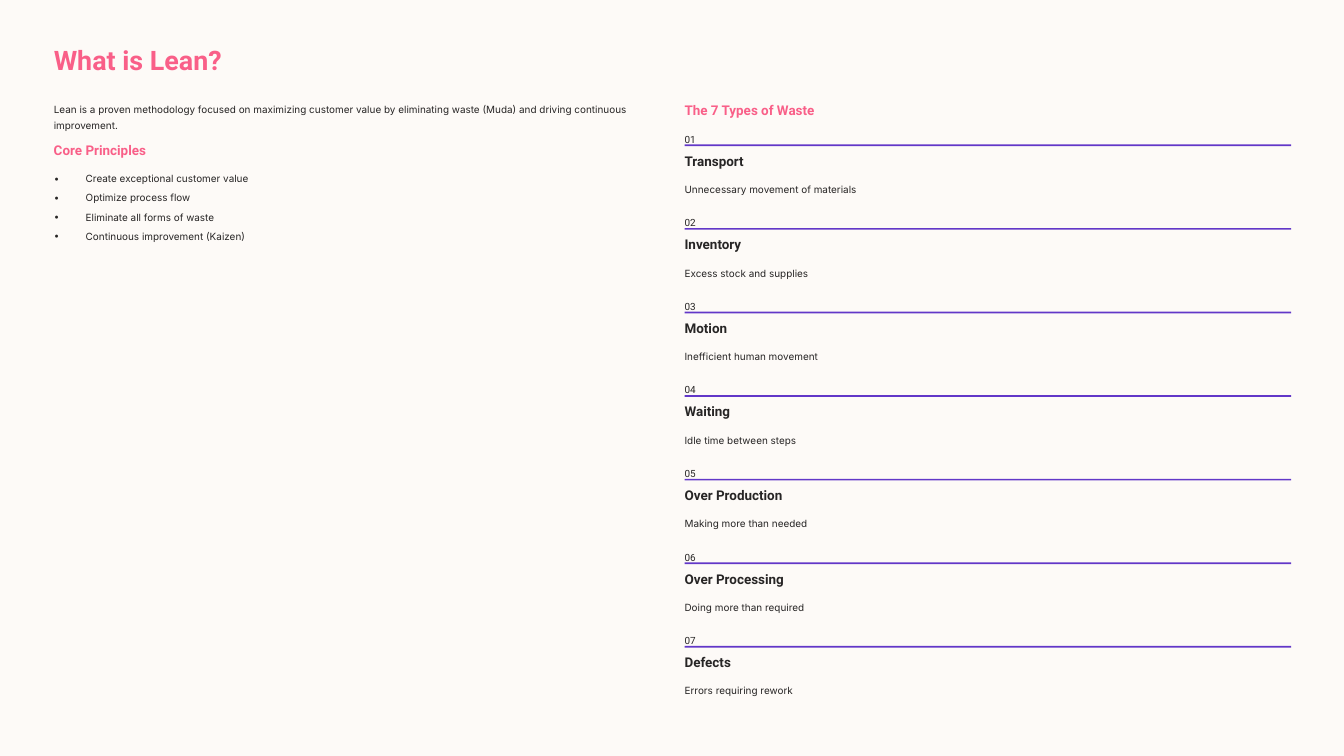
from dataclasses import dataclass

from lxml.etree import SubElement
from pptx import Presentation
from pptx.dml.color import RGBColor
from pptx.enum.shapes import MSO_SHAPE as Shape
from pptx.oxml.ns import qn
from pptx.util import Inches, Pt


@dataclass(frozen=True)
class Theme:
    paper: str = "FDFAF7"
    pink: str = "F95F88"
    ink: str = "272525"
    rule: str = "6237C8"
    head: str = "Roboto"
    body: str = "Inter"
    title: float = 23
    sub: float = 11.5
    text: float = 8.5


THEME = Theme()

# Line height for each type size, in points
LEAD = {THEME.title: 29, THEME.sub: 14.5, THEME.text: 13.5}

# Columns and row range, in inches
LEFT, RIGHT, WIDE = 0.64, 8.15, 7.22
FIRST, LAST = 1.54, 7.51

POINTS = [
    "Create exceptional customer value",
    "Optimize process flow",
    "Eliminate all forms of waste",
    "Continuous improvement (Kaizen)",
]

WASTES = [
    ("Transport", "Unnecessary movement of materials"),
    ("Inventory", "Excess stock and supplies"),
    ("Motion", "Inefficient human movement"),
    ("Waiting", "Idle time between steps"),
    ("Over Production", "Making more than needed"),
    ("Over Processing", "Doing more than required"),
    ("Defects", "Errors requiring rework"),
]


def add_dot(para):
    """Give a paragraph a bullet with a hanging indent."""
    props = para._p.get_or_add_pPr()
    props.set("marL", str(Inches(0.38)))
    props.set("indent", str(-Inches(0.38)))
    SubElement(props, qn("a:buFont")).set("typeface", THEME.body)
    SubElement(props, qn("a:buChar")).set("char", "•")


def add_text(slide, text, x, y, w, h, size=THEME.text, font=THEME.body,
             color=THEME.ink, bold=False, wrap=False, dots=False, gap=0):
    """Add a text box; each line of the text is a paragraph."""
    frame = slide.shapes.add_textbox(
        Inches(x), Inches(y), Inches(w), Inches(h)).text_frame
    frame.word_wrap = wrap
    frame.margin_left = frame.margin_right = 0
    frame.margin_top = frame.margin_bottom = 0
    frame.text = text
    for i, para in enumerate(frame.paragraphs):
        para.line_spacing = Pt(LEAD[size])
        if i:
            para.space_before = Pt(gap)
        if dots:
            add_dot(para)
        style = para.runs[0].font
        style.name, style.size, style.bold = font, Pt(size), bold
        style.color.rgb = RGBColor.from_string(color)


def add_head(slide, text, x, y, color=THEME.pink):
    add_text(slide, text, x, y, 1.63, 0.2, size=THEME.sub,
             font=THEME.head, color=color, bold=True)


def add_rect(slide, x, y, w, h, color):
    rect = slide.shapes.add_shape(
        Shape.RECTANGLE, Inches(x), Inches(y), Inches(w), Inches(h))
    rect.shadow.inherit = False
    rect.fill.solid()
    rect.fill.fore_color.rgb = RGBColor.from_string(color)
    rect.line.fill.background()


def add_waste(slide, num, y, name, note):
    """Add one numbered entry: number, rule, name and note."""
    add_text(slide, f"{num:02}", RIGHT, y, 0.2, 0.15, font=THEME.head)
    add_rect(slide, RIGHT, y + 0.18, WIDE, 0.02, THEME.rule)
    add_head(slide, name, RIGHT, y + 0.27, color=THEME.ink)
    add_text(slide, note, RIGHT, y + 0.6, WIDE, 0.19)


def main():
    deck = Presentation()
    deck.slide_width, deck.slide_height = Inches(16), Inches(9)
    slide = deck.slides.add_slide(deck.slide_layouts[6])

    # Paper
    add_rect(slide, 0, 0, 16, 9, THEME.paper)

    # Title and left column
    add_text(slide, "What is Lean?", LEFT, 0.5, 3.25, 0.41, size=THEME.title,
             font=THEME.head, color=THEME.pink, bold=True)
    add_text(slide, "Lean is a proven methodology focused on maximizing "
             "customer value by eliminating waste (Muda) and driving "
             "continuous improvement.", LEFT, 1.19, WIDE, 0.38, wrap=True)
    add_head(slide, "Core Principles", LEFT, 1.68)
    add_text(slide, "\n".join(POINTS), LEFT, 2.01, WIDE, 0.88,
             wrap=True, dots=True, gap=3)

    # Right column
    add_head(slide, "The 7 Types of Waste", RIGHT, 1.2)
    pitch = (LAST - FIRST) / (len(WASTES) - 1)
    for i, (name, note) in enumerate(WASTES):
        add_waste(slide, i + 1, FIRST + i * pitch, name, note)

    deck.save("out.pptx")


if __name__ == "__main__":
    main()
